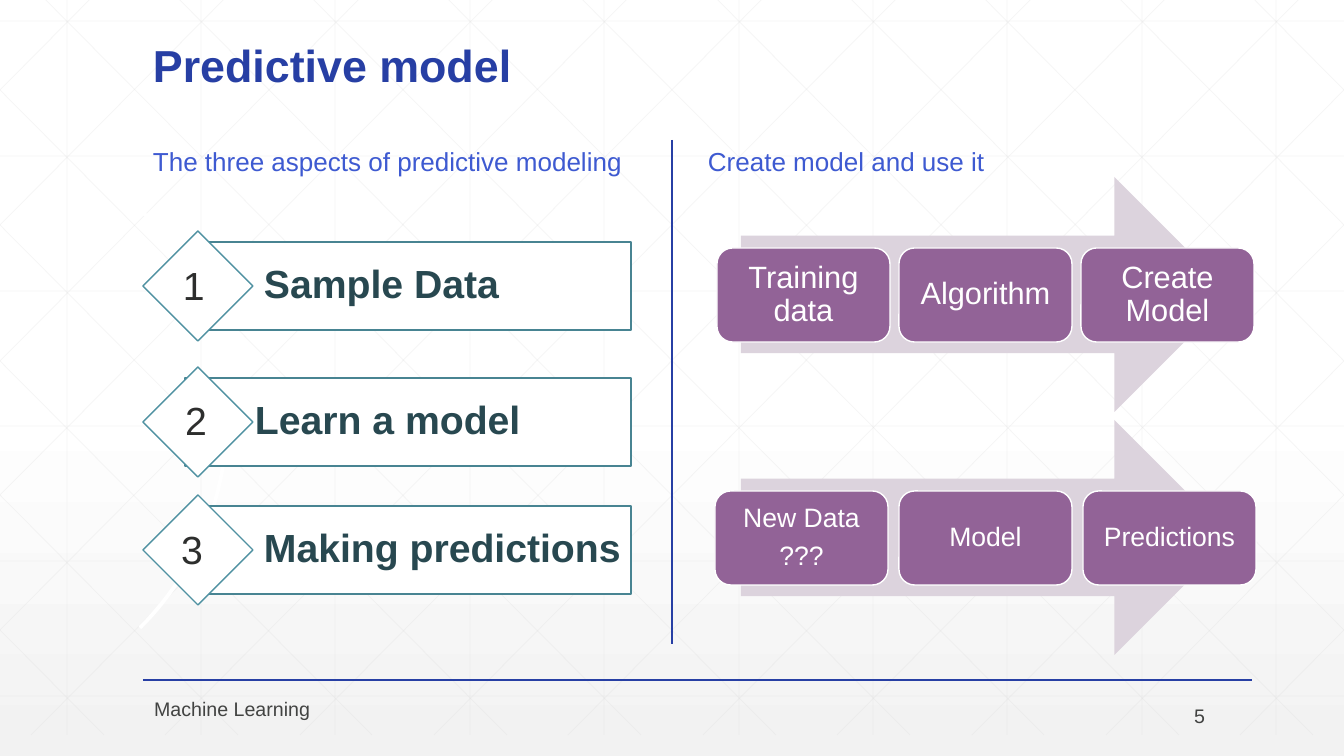
from lxml import etree
from pptx import Presentation
from pptx import util as u
from pptx.dml.color import RGBColor
from pptx.enum import shapes, text
from pptx.oxml.ns import qn

SLIDE_W, SLIDE_H = 1344, 756
EMU_PER_PX = 12192000 / SLIDE_W
COLORS = {
    "white": "FFFFFF", "haze": "F2F2F2", "grid": "D9D9D9",
    "rule": "273FA4", "subtitle": "3E5AD1", "footer": "424342",
    "bar_line": "488492", "diamond_line": "4F91A1", "bar_text": "284850",
    "number": "2D2E2D", "arrow": "DCD3DD", "card": "926397",
}
SHAPE = shapes.MSO_SHAPE
MIDDLE = text.MSO_ANCHOR.MIDDLE
TOP = text.MSO_ANCHOR.TOP
LEFT = text.PP_ALIGN.LEFT
CENTER = text.PP_ALIGN.CENTER


def px(length):
    return u.Emu(round(length * EMU_PER_PX))


def color(name):
    return RGBColor.from_string(COLORS[name])


def apply_format(target, values):
    for name, value in values.items():
        setattr(target, name, value)


def write(holder, wording, size, ink, bold=False, align=LEFT, spacing=1.0,
          anchor=MIDDLE, insets=(10, 5, 10, 5)):
    frame = holder.text_frame
    frame.text = wording
    sides = ("margin_left", "margin_top", "margin_right", "margin_bottom")
    apply_format(frame, {"word_wrap": True, "vertical_anchor": anchor})
    apply_format(frame, dict(zip(sides, map(px, insets))))
    for paragraph in frame.paragraphs:
        apply_format(paragraph, {"alignment": align, "line_spacing": spacing})
        apply_format(paragraph.runs[0].font,
                     {"name": "Arial", "size": u.Pt(size), "bold": bold})
        paragraph.runs[0].font.color.rgb = color(ink)
    for paragraph in frame.paragraphs[:-1]:
        paragraph.space_after = u.Pt(7)


def add_label(slide, box, wording, size, ink, **options):
    label = slide.shapes.add_textbox(*map(px, box))
    write(label, wording, size, ink, **options)


def add_block(slide, kind, box, fill, outline=None):
    block = slide.shapes.add_shape(kind, *map(px, box))
    block.shadow.inherit = False
    block.fill.solid()
    block.fill.fore_color.rgb = color(fill)
    if outline:
        block.line.color.rgb = color(outline)
        block.line.width = u.Pt(1)
    else:
        block.line.fill.background()
    return block


def add_line(slide, ends, ink, width=1.0, opacity=None):
    line = slide.shapes.add_connector(shapes.MSO_CONNECTOR.STRAIGHT, *map(px, ends))
    line.line.color.rgb = color(ink)
    line.line.width = u.Pt(width)
    properties = line._element.spPr
    if opacity:
        tint = properties.find(".//" + qn("a:srgbClr"))
        etree.SubElement(tint, qn("a:alpha")).set("val", str(opacity * 1000))
    etree.SubElement(properties, qn("a:effectLst"))


def add_background(slide):
    fill = slide.background.fill
    fill.gradient()
    fill.gradient_angle = 270
    for stop, (position, name) in zip(fill.gradient_stops, ((0.53, "white"), (1, "haze"))):
        stop.position = position
        stop.color.rgb = color(name)


def add_grid(slide):
    top, bottom, run = -21, 735, 751
    lines = []
    for column in range(10):
        x = 67 + SLIDE_W * column // 10
        lines.append((x, top, x, bottom))
    for row in range(6):
        y = 21 + 135 * row
        lines.append((0, y, SLIDE_W, y))
    # Diagonals are cut at the slide's sides, then mirrored
    slope = (bottom - top) / run
    for step in range(-5, 10):
        origin = 25 + SLIDE_W * step // 10
        x1, x2 = max(0, origin), min(SLIDE_W, origin + run)
        y1, y2 = (round(top + (x - origin) * slope) for x in (x1, x2))
        lines.append((x1, y1, x2, y2))
        lines.append((SLIDE_W - x1, y1, SLIDE_W - x2, y2))
    for ends in lines:
        add_line(slide, ends, "grid", 0.5, 25)


def add_aspect(slide, wording, bar_left, bar_top, diamond):
    bar = add_block(slide, SHAPE.RECTANGLE, (bar_left, bar_top, 631 - bar_left, 88),
                    "white", "bar_line")
    write(bar, wording, 28, "bar_text", bold=True, spacing=0.9, insets=(70, 8, 8, 8))
    add_block(slide, diamond, (143, bar_top - 11, 110, 110), "white", "diamond_line")


def add_process(slide, top, pitch, size, steps):
    add_block(slide, SHAPE.RIGHT_ARROW, (741, top, 491, 235), "arrow")
    for index, step in enumerate(steps):
        card_box = (899 + (index - 1) * pitch, top + 71, 173, 94)
        card = add_block(slide, SHAPE.ROUNDED_RECTANGLE, card_box, "card", "white")
        write(card, step, size, "white", align=CENTER, spacing=0.9, insets=(8, 8, 8, 8))


def main():
    deck = Presentation()
    apply_format(deck, {"slide_width": px(SLIDE_W), "slide_height": px(SLIDE_H)})
    slide = deck.slides.add_slide(deck.slide_layouts[6])

    # Backdrop and rules
    add_background(slide)
    add_grid(slide)
    add_line(slide, (143, 680, 1252, 680), "rule")
    add_line(slide, (672, 140, 672, 644), "rule")

    # Headings
    add_label(slide, (143, 21, 1058, 95), "Predictive model", 32, "rule",
              bold=True, spacing=0.9)
    for left, heading in ((143, "The three aspects of predictive modeling"),
                          (698, "Create model and use it")):
        add_label(slide, (left, 121, 504, 71), heading, 18.6, "subtitle", spacing=1.3)

    # Three aspects along the arc
    arc = add_block(slide, SHAPE.BLOCK_ARC, (-365, 122, 593, 593), "white", "white")
    for index, value in enumerate((189, 27, 0.004)):
        arc.adjustments[index] = value
    add_aspect(slide, "Sample Data", 194, 242, SHAPE.FLOWCHART_DECISION)
    add_aspect(slide, "Learn a model", 185, 378, SHAPE.DIAMOND)
    add_aspect(slide, "Making predictions", 194, 506, SHAPE.DIAMOND)
    for number, left, top in (("1", 173, 256), ("2", 175, 391), ("3", 171, 520)):
        add_label(slide, (left, top, 51, 57), number, 28, "number", anchor=TOP)

    # Creating the model, then using it
    add_process(slide, 177, 182, 22, ("Training data", "Algorithm", "Create Model"))
    add_process(slide, 420, 184, 19, ("New Data\n???", "Model", "Predictions"))

    # Footer
    add_label(slide, (1149, 697, 101, 38), "5", 14, "footer", align=CENTER)
    add_label(slide, (144, 692, 675, 38), "Machine Learning", 14, "footer", anchor=TOP)

    deck.save("out.pptx")


if __name__ == "__main__":
    main()
